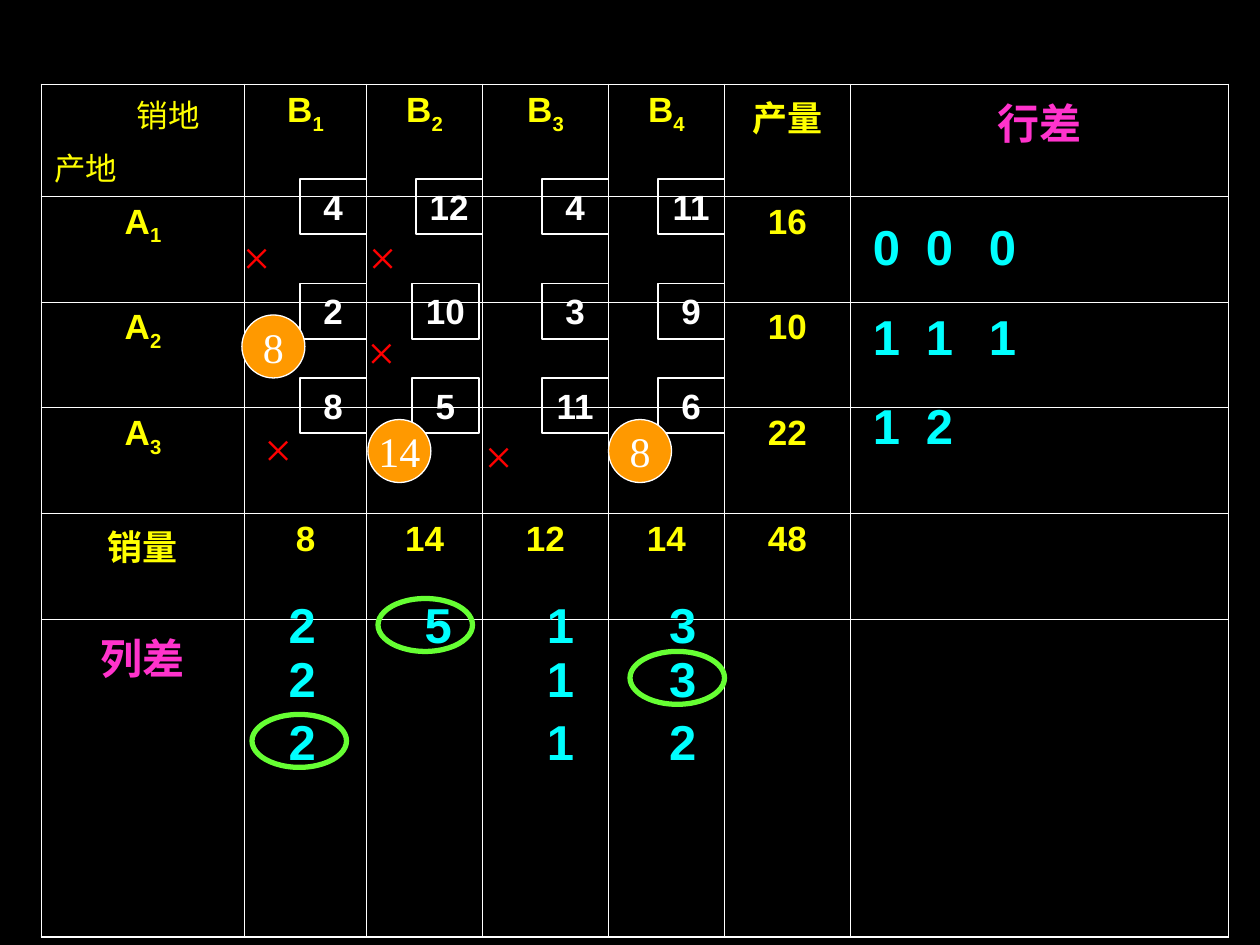
"""Build a slide of a transport table with row and column penalties."""
import dataclasses
import typing

import lxml.etree
import pptx
import pptx.dml.color
import pptx.enum.shapes
import pptx.enum.text
import pptx.oxml.ns
import pptx.util

Inches = pptx.util.Inches
Pt = pptx.util.Pt
Shape = pptx.enum.shapes.MSO_SHAPE
Align = pptx.enum.text.PP_ALIGN
qn = pptx.oxml.ns.qn

HAN = "Noto Sans CJK SC"
WHITE, YELLOW, CYAN, PINK = "FFFFFF", "FFFF00", "00FFFF", "FF33CC"
LEFT, TOP = 0.33, 0.67
COLS = [1.61, 0.97, 0.92, 1, 0.92, 1, 3]
ROWS = [0.77, 0.84, 0.84, 0.84, 0.84, 2.52]


@dataclasses.dataclass(frozen=True)
class Style:
    size: float
    face: str
    hue: str
    bold: bool = False


@dataclasses.dataclass(frozen=True)
class Mark:
    x: float
    y: float
    text: str = ""


HEAD = Style(20, "Arial", YELLOW, True)
HAN_HEAD = Style(20, HAN, YELLOW, True)
CORNER = Style(18, HAN, YELLOW)
GAP = Style(24, HAN, PINK, True)
COST = Style(20, "Arial", WHITE, True)
DIFF = Style(28, "Arial", CYAN, True)
CROSS = Style(28, "Times New Roman", "FF0000")
LOAD = Style(24, "Times New Roman", WHITE)

GRID = [
    ["", "B1", "B2", "B3", "B4", "产量", "行差"],
    ["A1", "", "", "", "", "16", ""],
    ["A2", "", "", "", "", "10", ""],
    ["A3", "", "", "", "", "22", ""],
    ["销量", "8", "14", "12", "14", "48", ""],
    ["列差", "", "", "", "", "", ""],
]
STYLES = {"行差": GAP, "列差": GAP, "销量": HAN_HEAD}
COSTS = {1.42: [4, 12, 4, 11], 2.25: [2, 10, 3, 9], 3: [8, 5, 11, 6]}
ROW_DIFFS = [Mark(6.83, 1.67, "011"), Mark(7.25, 1.67, "012"), Mark(7.75, 1.67, "01")]
COL_DIFFS = [
    Mark(2.08, 4.67, "2\t5\t1\t3"),
    Mark(2.08, 5.1, "2\t\t1\t3"),
    Mark(2.08, 5.6, "2\t\t1\t2"),
]
LOADS = [Mark(2.92, 3.33, "14"), Mark(4.83, 3.33, "8"), Mark(1.92, 2.5, "8")]
CROSSES = [Mark(2.82, 2.5), Mark(2.83, 1.75), Mark(2, 3.27), Mark(3.75, 3.33), Mark(1.83, 1.75)]
RINGS = [Mark(2, 5.67), Mark(3, 4.75), Mark(5, 5.17)]


def tint(code: str) -> pptx.dml.color.RGBColor:
    return pptx.dml.color.RGBColor.from_string(code)


def write(para: typing.Any, text: str, style: Style, sub: bool = False) -> None:
    run = para.add_run()
    run.text = text
    font = run.font
    font.size, font.name, font.bold = Pt(style.size), style.face, style.bold
    font.color.rgb = tint(style.hue)
    props = run._r.get_or_add_rPr()
    lxml.etree.SubElement(props, qn("a:ea"), typeface=HAN)
    if sub:
        props.set("baseline", "-25000")


def edge(cell: typing.Any, row: int, col: int) -> None:
    props = cell._tc.get_or_add_tcPr()
    outer = {
        "L": col == 0,
        "R": col == len(COLS) - 1,
        "T": row == 0,
        "B": row == len(ROWS) - 1,
    }
    for side, thick in outer.items():
        width = str(Pt(1.08 if thick else 0.45))
        line = lxml.etree.SubElement(props, qn(f"a:ln{side}"), w=width)
        fill = lxml.etree.SubElement(line, qn("a:solidFill"))
        lxml.etree.SubElement(fill, qn("a:srgbClr"), val=WHITE)
    cell.fill.background()


def label(cell: typing.Any, text: str) -> None:
    para = cell.text_frame.paragraphs[0]
    para.alignment = Align.CENTER
    if text[0] in "AB":
        write(para, text[0], HEAD)
        write(para, text[1], HEAD, sub=True)
    else:
        write(para, text, STYLES.get(text, HEAD))


def corner(cell: typing.Any) -> None:
    para = cell.text_frame.paragraphs[0]
    para.alignment = Align.CENTER
    para._p.get_or_add_pPr().set("marL", str(Inches(0.4)))
    write(para, "销地", CORNER)
    para = cell.text_frame.add_paragraph()
    para.space_before = Pt(4.5)
    write(para, "产地", CORNER)


def draw_table(slide: typing.Any) -> None:
    frame = slide.shapes.add_table(
        len(ROWS), len(COLS), Inches(LEFT), Inches(TOP), Inches(sum(COLS)), Inches(sum(ROWS))
    )
    table = frame.table
    table.first_row = table.horz_banding = False
    for col, width in zip(table.columns, COLS):
        col.width = Inches(width)
    for row, height in zip(table.rows, ROWS):
        row.height = Inches(height)
    for i, texts in enumerate(GRID):
        for j, text in enumerate(texts):
            cell = table.cell(i, j)
            edge(cell, i, j)
            if text:
                label(cell, text)
    corner(table.cell(0, 0))


def draw_shape(slide: typing.Any, kind: typing.Any, mark: Mark, width: float, height: float,
               hue: str, weight: float, fill: str = "") -> typing.Any:
    shape = slide.shapes.add_shape(
        kind, Inches(mark.x), Inches(mark.y), Inches(width), Inches(height)
    )
    shape.shadow.inherit = False
    shape.line.color.rgb = tint(hue)
    shape.line.width = Pt(weight)
    if fill:
        shape.fill.solid()
        shape.fill.fore_color.rgb = tint(fill)
    else:
        shape.fill.background()
    return shape


def draw_cost(slide: typing.Any, mark: Mark) -> None:
    frame = draw_shape(slide, Shape.RECTANGLE, mark, 0.53, 0.44, WHITE, 1).text_frame
    frame.vertical_anchor = pptx.enum.text.MSO_ANCHOR.TOP
    frame.paragraphs[0].alignment = Align.CENTER
    write(frame.paragraphs[0], mark.text, COST)


def draw_load(slide: typing.Any, mark: Mark) -> None:
    frame = draw_shape(slide, Shape.OVAL, mark, 0.5, 0.5, WHITE, 0.75, "FF9900").text_frame
    frame.word_wrap = False
    frame.paragraphs[0].alignment = Align.CENTER
    write(frame.paragraphs[0], mark.text, LOAD)


def draw_text(slide: typing.Any, mark: Mark, width: float, height: float,
              lines: typing.Sequence[str], style: Style) -> typing.Any:
    box = slide.shapes.add_textbox(
        Inches(mark.x), Inches(mark.y), Inches(width), Inches(height)
    )
    frame = box.text_frame
    frame.word_wrap = True
    for i, line in enumerate(lines):
        para = frame.add_paragraph() if i else frame.paragraphs[0]
        if i:
            para.space_before = Pt(17.5)
        write(para, line, style)
    return frame


def draw_diffs(slide: typing.Any, mark: Mark) -> None:
    frame = draw_text(slide, mark, 4.75, 0.57, [], DIFF)
    frame.margin_left = Inches(0.21)
    para = frame.paragraphs[0]
    tabs = lxml.etree.SubElement(para._p.get_or_add_pPr(), qn("a:tabLst"))
    for stop in (1.08, 2.05, 3.02):
        lxml.etree.SubElement(tabs, qn("a:tab"), pos=str(Inches(stop)), algn="l")
    write(para, mark.text, DIFF)


def main() -> None:
    deck = pptx.Presentation()
    deck.slide_width, deck.slide_height = Inches(10), Inches(7.5)
    slide = deck.slides.add_slide(deck.slide_layouts[6])
    slide.background.fill.solid()
    slide.background.fill.fore_color.rgb = tint("000000")
    draw_table(slide)
    for y, costs in COSTS.items():
        for j, cost in enumerate(costs):
            x = LEFT + sum(COLS[:j + 2]) - 0.53
            if j == 1 and y > 2:
                x -= 0.03
            draw_cost(slide, Mark(x, y, str(cost)))
    for mark in ROW_DIFFS:
        draw_text(slide, mark, 0.5, 1.99, mark.text, DIFF)
    for mark in COL_DIFFS:
        draw_diffs(slide, mark)
    for mark in LOADS:
        draw_load(slide, mark)
    for mark in CROSSES:
        draw_text(slide, mark, 0.35, 0.57, "×", CROSS)
    for mark in RINGS:
        draw_shape(slide, Shape.OVAL, mark, 0.75, 0.42, "66FF33", 3)
    deck.save("out.pptx")


if __name__ == "__main__":
    main()
